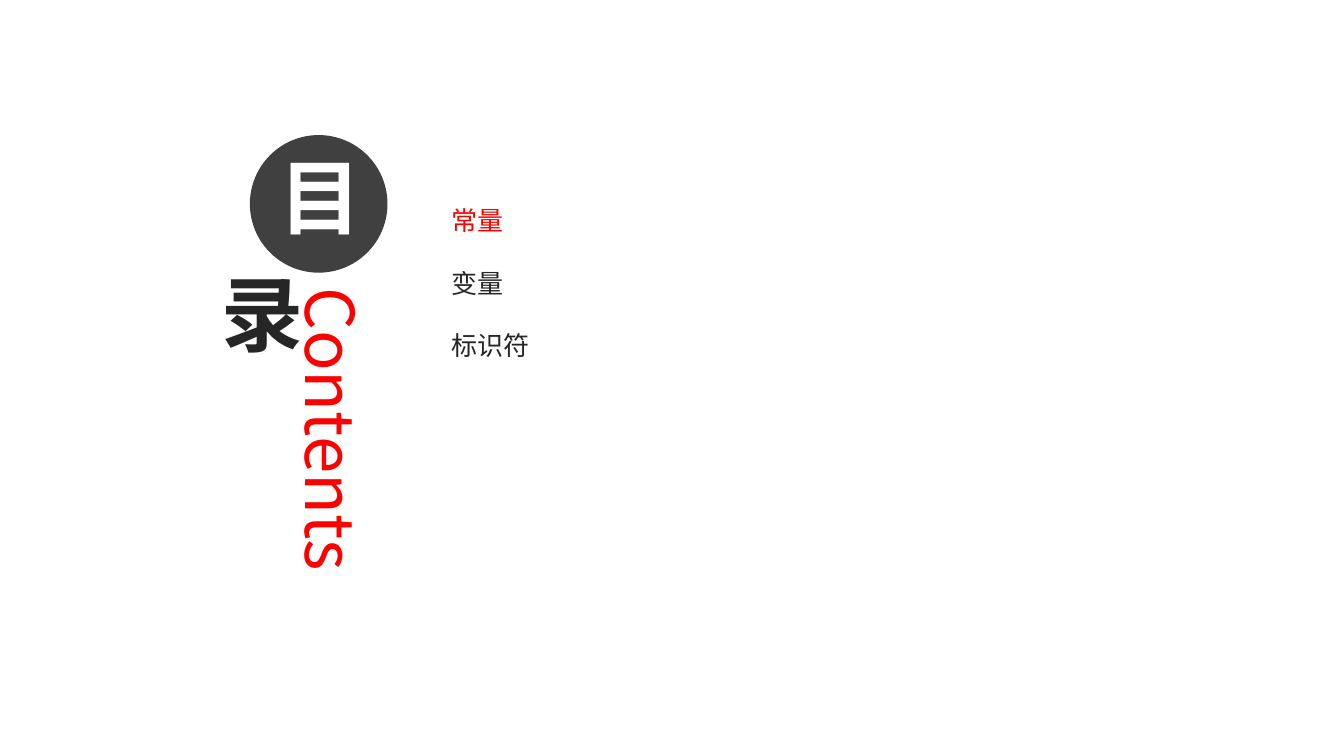
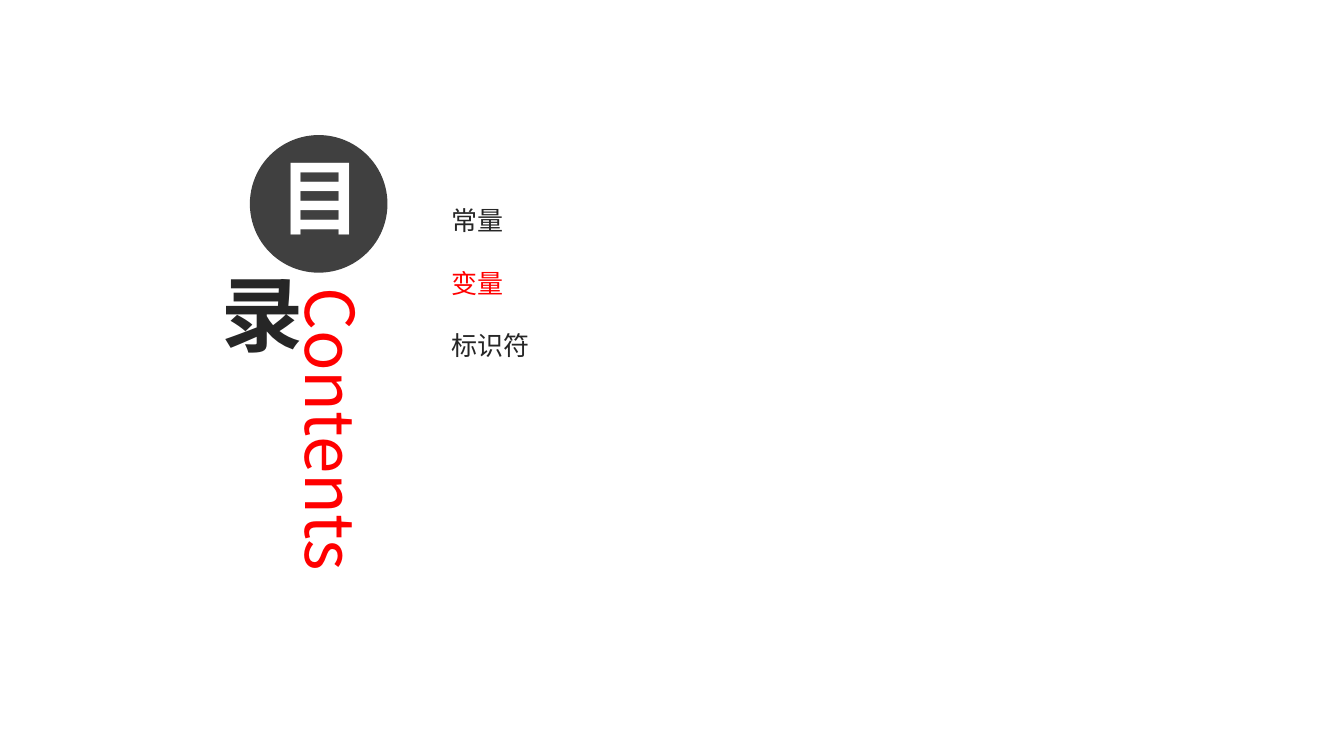
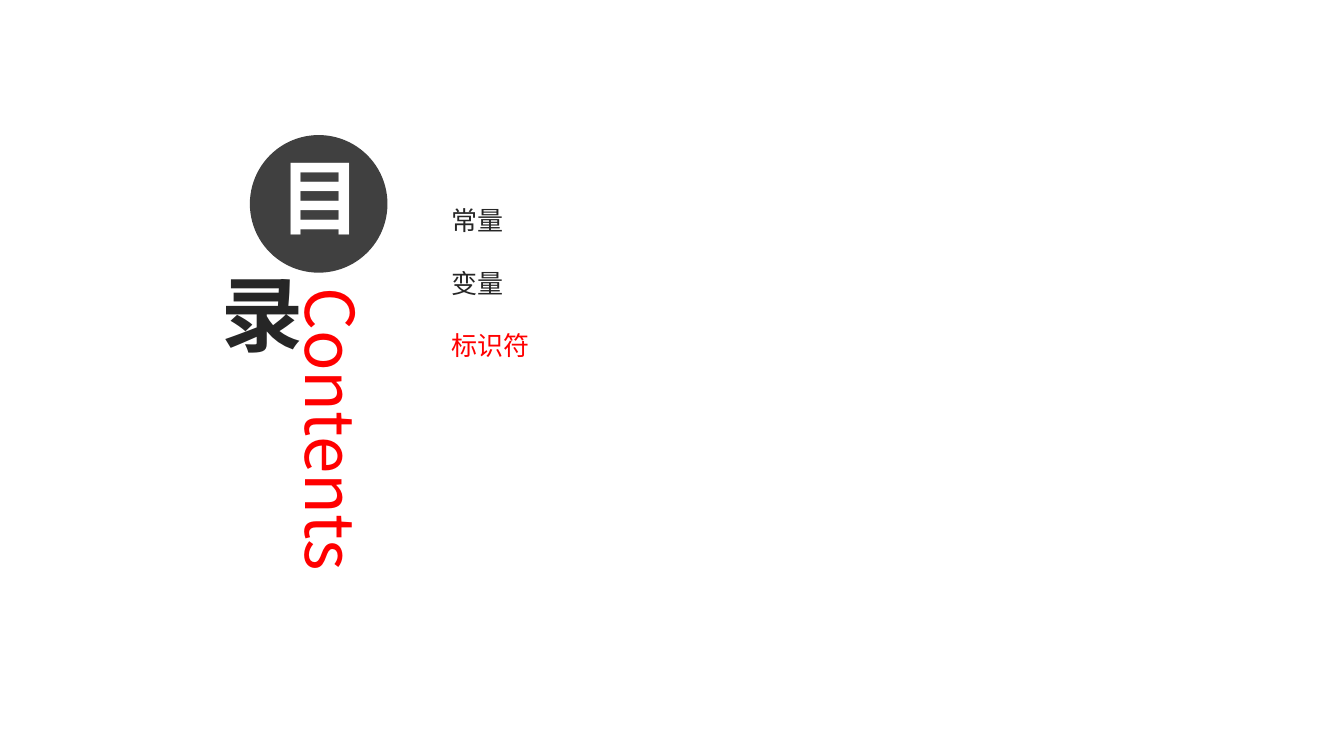
import pptx
import pptx.util
import pptx.dml.color
import pptx.enum.shapes
import pptx.enum.text
import pptx.oxml.ns
import lxml.etree

Pt = pptx.util.Pt
RED = pptx.dml.color.RGBColor(0xFF, 0x00, 0x00)
WHITE = pptx.dml.color.RGBColor(0xFF, 0xFF, 0xFF)
GREY = pptx.dml.color.RGBColor(0x40, 0x40, 0x40)
DARK = pptx.dml.color.RGBColor(0x26, 0x26, 0x26)
FACE = "Noto Sans CJK SC"
TOPICS = ["常量", "变量", "标识符"]


class Deck:
    """Builds contents slides in one shared style."""

    def __init__(self):
        self.prs = pptx.Presentation()
        self.prs.slide_width = Pt(960)
        self.prs.slide_height = Pt(540)
        self.slide = None

    def start(self):
        self.slide = self.prs.slides.add_slide(self.prs.slide_layouts[5])

    def style(self, para, size, color, bold=False):
        font = para.font
        font.name, font.size, font.bold = FACE, Pt(size), bold
        font.color.rgb = color
        tag = pptx.oxml.ns.qn("a:ea")
        east = lxml.etree.Element(tag, typeface=FACE)
        latin = para._p.pPr.find(".//" + pptx.oxml.ns.qn("a:latin"))
        latin.addnext(east)

    def title(self, text, left, top, width, height):
        shape = self.slide.shapes.title
        shape.left, shape.top = Pt(left), Pt(top)
        shape.width, shape.height = Pt(width), Pt(height)
        frame = shape.text_frame
        frame.text = text
        frame.word_wrap = True
        frame.auto_size = pptx.enum.text.MSO_AUTO_SIZE.NONE
        frame.vertical_anchor = pptx.enum.text.MSO_ANCHOR.TOP
        frame._txBody.bodyPr.set("vert", "eaVert")
        para = frame.paragraphs[0]
        para.alignment = pptx.enum.text.PP_ALIGN.LEFT
        self.style(para, 48, RED)

    def disc(self, text, left, top, size, color, fill=None):
        shape = self.slide.shapes.add_shape(
            pptx.enum.shapes.MSO_SHAPE.OVAL,
            Pt(left), Pt(top), Pt(size), Pt(size))
        shape.shadow.inherit = False
        shape.line.fill.background()
        if fill is None:
            shape.fill.background()
        else:
            shape.fill.solid()
            shape.fill.fore_color.rgb = fill
        frame = shape.text_frame
        frame.text = text
        frame.vertical_anchor = pptx.enum.text.MSO_ANCHOR.MIDDLE
        para = frame.paragraphs[0]
        para.alignment = pptx.enum.text.PP_ALIGN.CENTER
        self.style(para, 58.6, color, True)
        return frame

    def topics(self, names, active, left, top, width, height):
        box = self.slide.shapes.add_textbox(
            Pt(left), Pt(top), Pt(width), Pt(height))
        frame = box.text_frame
        frame.word_wrap = True
        frame.margin_top = Pt(27.4)
        frame.text = "\n".join(names)
        for para in frame.paragraphs:
            para.line_spacing = Pt(44.6)
            self.style(para, 18.6, RED if para.text == active else DARK)


def main():
    deck = Deck()
    for active in TOPICS:
        deck.start()
        deck.title("Contents", 206, 201.6, 67.7, 277)
        frame = deck.disc("目", 178.5, 96.5, 98.3, WHITE, GREY)
        frame.margin_bottom = Pt(14.4)
        frame.paragraphs[0].line_spacing = Pt(70)
        deck.disc("录", 139.7, 185, 77, DARK)
        deck.topics(TOPICS, active, 315.4, 96.5, 453.6, 186.5)
    deck.prs.save("out.pptx")


if __name__ == "__main__":
    main()
